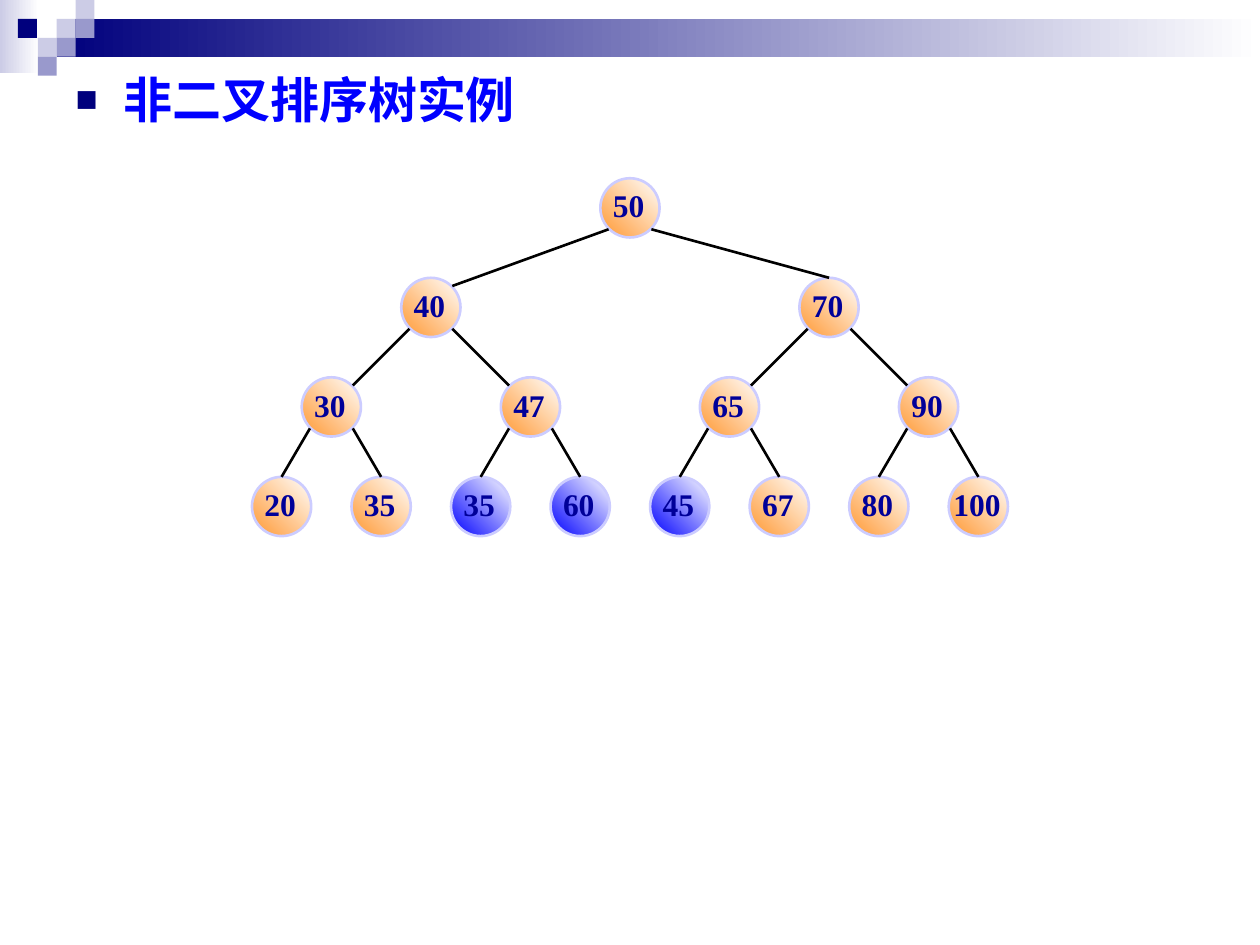
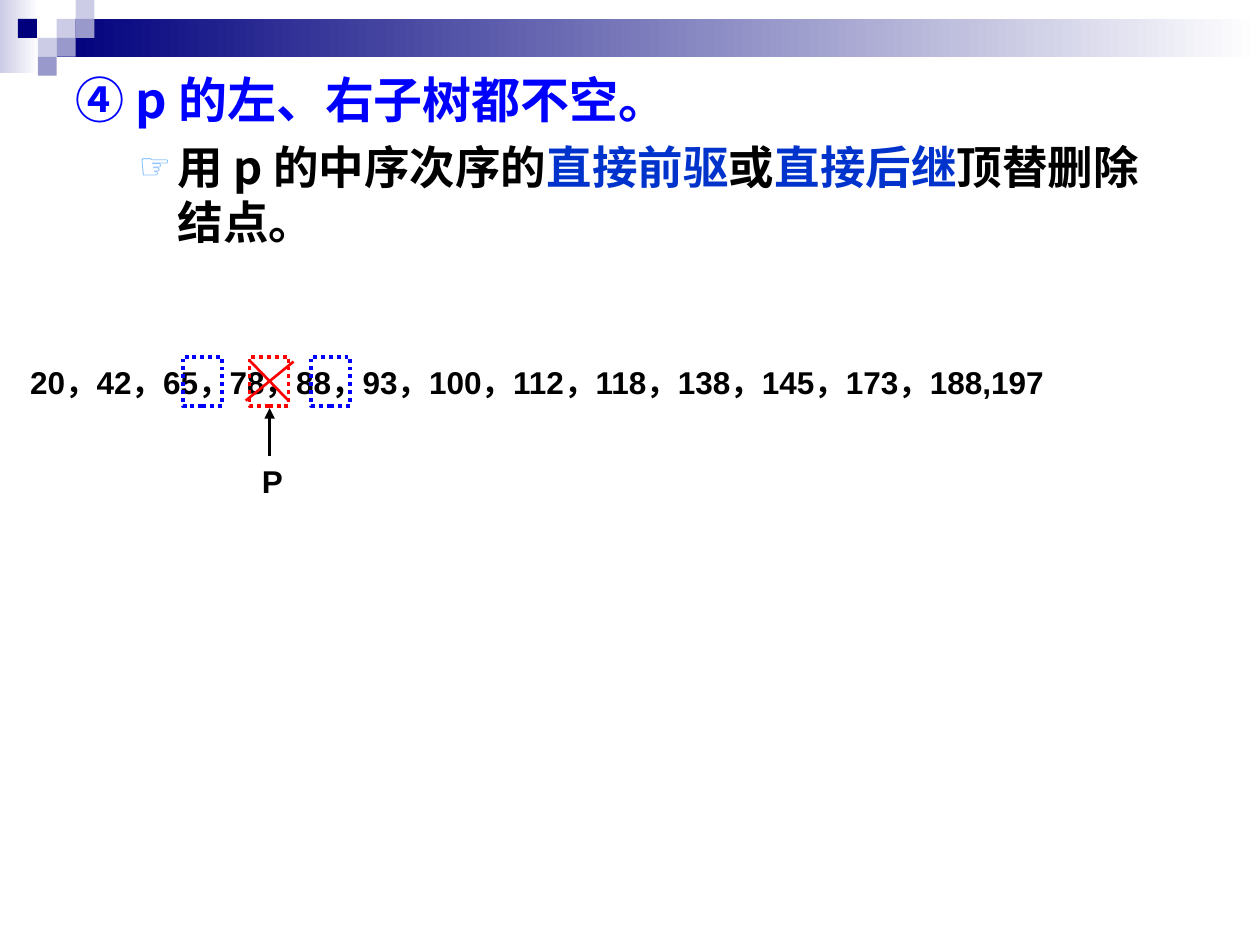
from lxml import etree
from pptx import Presentation
from pptx.dml.color import RGBColor
from pptx.enum.dml import MSO_LINE
from pptx.enum.shapes import MSO_CONNECTOR, MSO_SHAPE
from pptx.enum.text import MSO_ANCHOR, MSO_AUTO_SIZE, PP_ALIGN
from pptx.oxml.ns import qn
from pptx.util import Inches, Pt

STRAIGHT = MSO_CONNECTOR.STRAIGHT
RECT, OVAL = MSO_SHAPE.RECTANGLE, MSO_SHAPE.OVAL
MIDDLE, CENTER = MSO_ANCHOR.MIDDLE, PP_ALIGN.CENTER
DOTTED, NO_AUTOFIT = MSO_LINE.ROUND_DOT, MSO_AUTO_SIZE.NONE

COLORS = {
    "navy": "00007D", "lilac": "9999CC", "pale": "CCCCE6", "white": "FFFFFF",
    "blue": "0000FF", "accent": "0033CC", "sky": "67AFFF", "black": "000000",
    "red": "FF0000", "orange": "FF9933", "rim": "CCCCFF", "label": "000099",
}
ARIAL, TIMES, CJK = "Arial", "Times New Roman", "Noto Sans CJK SC"

# Column, row and colour of each square in the corner mosaic
CELL = 0.15
MOSAIC = [(3, 1, "pale"), (4, 0, "pale"), (4, 1, "lilac"), (2, 2, "pale"),
          (0.95, 1, "navy"), (3, 2, "lilac"), (2, 3, "lilac")]

TREE = [[50], [40, 70], [30, 47, 65, 90], [20, 35, 35, 60, 45, 67, 80, 100]]
MISPLACED_LEAVES = {2, 3, 4}
NODE_SIZE, NODE_GAP, ROOT_X, ROOT_Y = 0.47, 0.79, 5, 1.65
EDGE_OFFSET = 0.17

SEQUENCE = "20，42，65，78，88，93，100，112，118，138，145，173，188,197"
MARK_W, MARK_H, MARK_Y = 0.31, 0.39, 2.83


def rgb(name):
    return RGBColor.from_string(COLORS[name])


def style_run(r, size, font, color):
    r.font.size, r.font.bold, r.font.name = Pt(size), True, font
    r.font.color.rgb = rgb(color)
    ea = etree.SubElement(r.font._element, qn("a:ea"))
    ea.set("typeface", CJK)


def set_gradient(sp, color, angle):
    """Fade from a colour to white; the angle runs counter-clockwise."""
    sp.fill.gradient()
    sp.fill.gradient_angle = angle
    for stop, name in zip(sp.fill.gradient_stops, (color, "white")):
        stop.color.rgb = rgb(name)


def add_block(slide, kind, x, y, w, h):
    """Add a preset shape without line, fill or shadow."""
    sp = slide.shapes.add_shape(kind, Inches(x), Inches(y), Inches(w), Inches(h))
    sp.shadow.inherit = False
    sp.line.fill.background()
    sp.fill.background()
    return sp


def add_line(slide, start, end, color="black", arrow=False):
    points = [Inches(v) for v in (*start, *end)]
    line = slide.shapes.add_connector(STRAIGHT, *points)
    line.line.color.rgb = rgb(color)
    line.line.width = Pt(1.5)
    if arrow:
        ln = line.line._get_or_add_ln()
        etree.SubElement(ln, qn("a:tailEnd")).set("type", "triangle")
    etree.SubElement(line._element.spPr, qn("a:effectLst"))


def add_label(slide, text, x, y, w, h, align=None):
    tb = slide.shapes.add_textbox(Inches(x), Inches(y), Inches(w), Inches(h))
    tf = tb.text_frame
    tf.word_wrap = False
    tf.text = text
    tf.paragraphs[0].alignment = align
    style_run(tf.paragraphs[0].runs[0], 18, ARIAL, "black")
    return tf


def set_bullet(p, char, color, percent, left, hanging):
    """Set the indents in inches, and the bullet if there is a character."""
    pPr = p._p.get_or_add_pPr()
    pPr.set("marL", str(Inches(left)))
    pPr.set("indent", str(-Inches(hanging)))
    if not char:
        etree.SubElement(pPr, qn("a:buNone"))
        return
    clr = etree.SubElement(pPr, qn("a:buClr"))
    etree.SubElement(clr, qn("a:srgbClr")).set("val", COLORS[color])
    etree.SubElement(pPr, qn("a:buSzPct")).set("val", str(percent * 1000))
    etree.SubElement(pPr, qn("a:buFont")).set("typeface", ARIAL)
    etree.SubElement(pPr, qn("a:buChar")).set("char", char)


def add_banner(slide):
    for x, y, w, h, color in [(0, 0, 0.31, 0.58, "pale"),
                              (0.45, 0.15, 9.55, 0.3, "navy")]:
        set_gradient(add_block(slide, RECT, x, y, w, h), color, 0)
    for col, row, color in MOSAIC:
        sp = add_block(slide, RECT, col * CELL, row * CELL, CELL, CELL)
        sp.fill.solid()
        sp.fill.fore_color.rgb = rgb(color)


def add_content_slide(prs, heading, font, bullet=None):
    """Start a slide with its banner and heading; return it and its body text."""
    slide = prs.slides.add_slide(prs.slide_layouts[1])
    title = slide.shapes.title._element
    title.getparent().remove(title)
    body = slide.placeholders[1]
    body.left, body.top = Inches(0.5), Inches(0.5)
    body.width, body.height = Inches(9), Inches(7)
    tf = body.text_frame
    tf.auto_size = NO_AUTOFIT
    tf.text = heading
    p = tf.paragraphs[0]
    p.space_before = Pt(0)
    set_bullet(p, bullet, "navy", 75, 0.38, 0.38)
    style_run(p.runs[0], 28, font, "blue")
    add_banner(slide)
    return slide, tf


def node_center(level, i):
    """Leaves are evenly spaced; each parent sits midway over its subtree."""
    count = 2 ** level
    spread = NODE_GAP * len(TREE[-1]) / count
    return ROOT_X + (i - (count - 1) / 2) * spread, ROOT_Y + level * NODE_GAP


def add_node(slide, value, level, i, color):
    x, y = node_center(level, i)
    half = NODE_SIZE / 2
    sp = add_block(slide, OVAL, x - half, y - half, NODE_SIZE, NODE_SIZE)
    set_gradient(sp, color, 45)
    sp.line.color.rgb = rgb("rim")
    sp.line.width = Pt(1.5)
    tf = sp.text_frame
    tf.word_wrap = False
    tf.vertical_anchor = MIDDLE
    tf.margin_left, tf.margin_right = Inches(0.1), Inches(0.12)
    tf.margin_top, tf.margin_bottom = Inches(0.01), Inches(0.05)
    tf.text = str(value)
    tf.paragraphs[0].alignment = CENTER
    style_run(tf.paragraphs[0].runs[0], 18, TIMES, "label")


def add_edge(slide, level, i):
    """Join a node to its parent, meeting leaves and node 70 at the top."""
    x, y = node_center(level, i)
    px, py = node_center(level - 1, i // 2)
    side = EDGE_OFFSET if i % 2 else -EDGE_OFFSET
    if level == len(TREE) - 1 or (level, i) == (1, 1):
        end = (x, y - NODE_SIZE / 2)
    else:
        end = (x - side, y - EDGE_OFFSET)
    add_line(slide, (px + side, py + EDGE_OFFSET), end)


def build_tree_slide(prs):
    slide, _ = add_content_slide(prs, "非二叉排序树实例", ARIAL, "■")
    for level, values in enumerate(TREE):
        for i, value in enumerate(values):
            wrong = level == len(TREE) - 1 and i in MISPLACED_LEAVES
            add_node(slide, value, level, i, "blue" if wrong else "orange")
            if level:
                add_edge(slide, level, i)


def build_deletion_slide(prs):
    slide, tf = add_content_slide(prs, "④ p 的左、右子树都不空。", CJK)
    p = tf.add_paragraph()
    p.level = 1
    p.space_before = Pt(6.5)
    set_bullet(p, "☞", "sky", 80, 0.81, 0.31)
    for text, color in [("用 p 的中序次序的", "black"), ("直接前驱", "accent"),
                        ("或", "black"), ("直接后继", "accent"),
                        ("顶替删除结点。", "black")]:
        r = p.add_run()
        r.text = text
        style_run(r, 26, CJK, color)

    add_label(slide, SEQUENCE, 0.14, MARK_Y, 9.71, 0.4)
    for x, color in [(1.98, "red"), (1.45, "blue"), (2.47, "blue")]:
        sp = add_block(slide, RECT, x, MARK_Y, MARK_W, MARK_H)
        sp.line.color.rgb = rgb(color)
        sp.line.width = Pt(2.25)
        sp.line.dash_style = DOTTED
    label = add_label(slide, "P", 1.98, 3.62, MARK_W, MARK_H, CENTER)
    label.vertical_anchor = MIDDLE
    add_line(slide, (2.14, 3.62), (2.14, 3.24), arrow=True)
    add_line(slide, (1.98, 2.86), (2.29, 3.18), "red")
    add_line(slide, (2.33, 2.87), (1.95, 3.18), "red")


def main():
    prs = Presentation()
    prs.slide_width, prs.slide_height = Inches(10), Inches(7.5)
    build_tree_slide(prs)
    build_deletion_slide(prs)
    prs.save("out.pptx")


if __name__ == "__main__":
    main()
